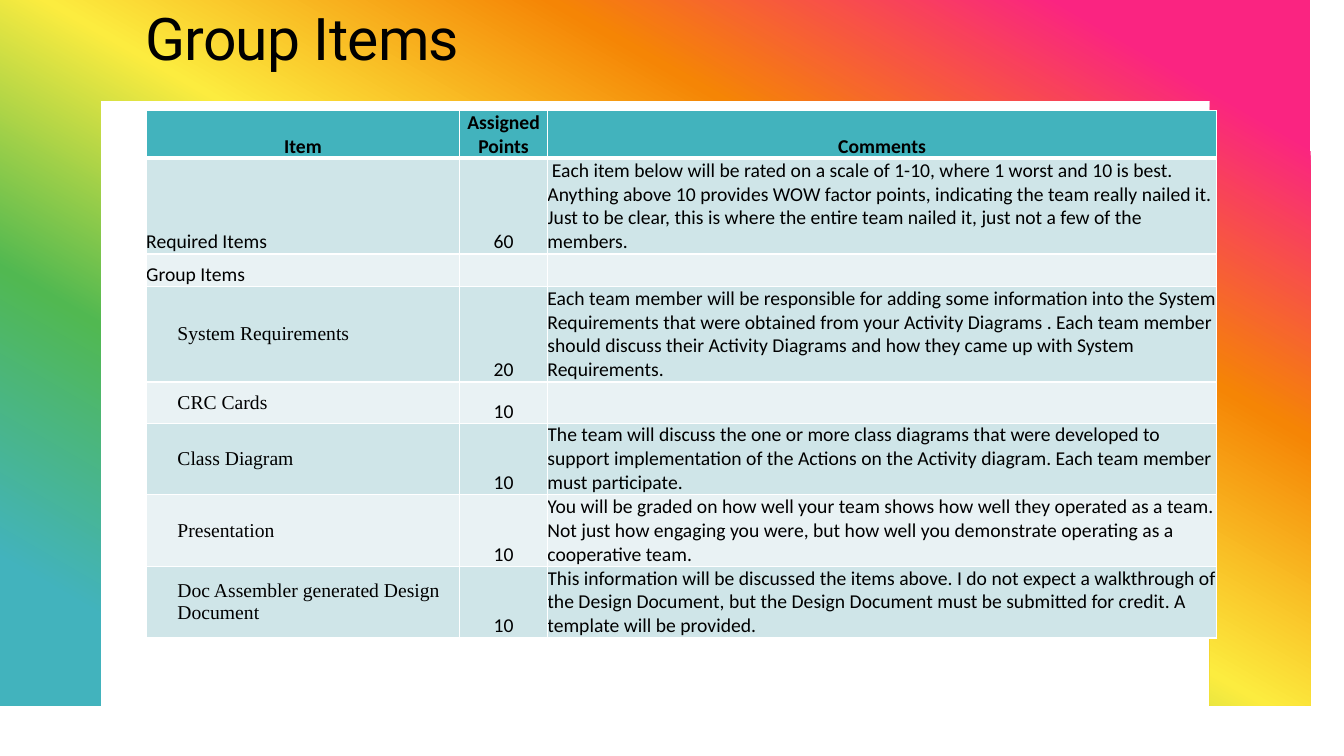
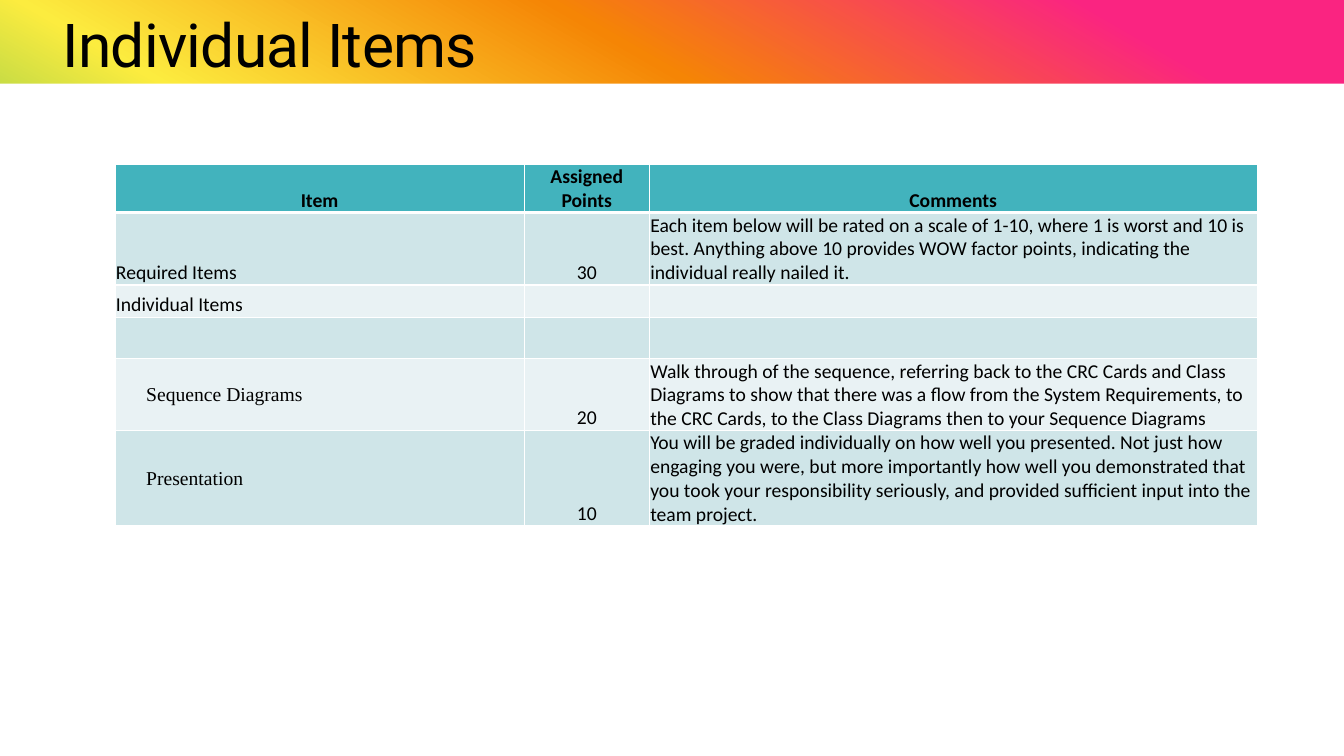
from lxml import etree
from pptx import Presentation
from pptx import util as u
from pptx.dml.color import RGBColor
from pptx.enum import shapes, text
from pptx.oxml import ns

W, H = 13.33, 7.5
BLACK, WHITE, TEAL = "000000", "FFFFFF", "42B3BD"
BANDS = ["E9F2F4", "CFE5E8"]
RAINBOW = [(10, "FA2481"), (30, "F58505"), (50, "FCEC3F"), (70, "51B851"), (90, TEAL)]
RAINBOW_ANGLE = 120
BAND_H, FRAME_SIDE, FRAME_BOTTOM = 0.84, 0.83, 6.68
FRAME = [(0, 0), (W, 0), (W, FRAME_BOTTOM), (W - FRAME_SIDE, FRAME_BOTTOM),
         (W - FRAME_SIDE, BAND_H), (FRAME_SIDE, BAND_H),
         (FRAME_SIDE, FRAME_BOTTOM), (0, FRAME_BOTTOM)]
INDENT = 0.31
SECTION_ROW = 2
HEADER = ("Item", "Assigned Points", "Comments")

GROUP = {
    "framed": True,
    "title": ("Group Items", (1.34, 0, 10, 0.81), 42, text.MSO_ANCHOR.MIDDLE),
    "at": (1.45, 1.1),
    "inset": 0,
    "cols": [3.11, 0.87, 6.64],
    "heights": [0.47, 0.95, 0.32, 0.95, 0.41, 0.71, 0.71, 0.71],
    "rows": [
        HEADER,
        ("Required Items", "60",
         " Each item below will be rated on a scale of 1-10, where 1 worst and 10 is best. "
         "Anything above 10 provides WOW factor points, indicating the team really nailed it. "
         "Just to be clear, this is where the entire team nailed it, just not a few of the members."),
        ("Group Items", "", ""),
        ("System Requirements", "20",
         "Each team member will be responsible for adding some information into the System "
         "Requirements that were obtained from your Activity Diagrams . Each team member should "
         "discuss their Activity Diagrams and how they came up with System Requirements."),
        ("CRC Cards", "10", ""),
        ("Class Diagram", "10",
         "The team will discuss the one or more class diagrams that were developed to support "
         "implementation of the Actions on the Activity diagram. Each team member must participate."),
        ("Presentation", "10",
         "You will be graded on how well your team shows how well they operated as a team. Not just "
         "how engaging you were, but how well you demonstrate operating as a cooperative team."),
        ("Doc Assembler generated Design Document", "10",
         "This information will be discussed the items above. I do not expect a walkthrough of the "
         "Design Document, but the Design Document must be submitted for credit. A template will be "
         "provided."),
    ],
}
INDIVIDUAL = {
    "framed": False,
    "title": ("Individual Items", (0.52, 0.24, 11.67, 0.62), 43.2, text.MSO_ANCHOR.BOTTOM),
    "at": (1.14, 1.63),
    "inset": 0.01,
    "cols": [4.06, 1.24, 6.03],
    "heights": [0.47, 0.72, 0.32, 0.41, 0.71, 0.95],
    "rows": [
        HEADER,
        ("Required Items", "30",
         "Each item below will be rated on a scale of 1-10, where 1 is worst and 10 is best. "
         "Anything above 10 provides WOW factor points, indicating the individual really nailed it."),
        ("Individual Items", "", ""),
        ("", "", ""),
        ("Sequence Diagrams", "20",
         "Walk through of the sequence, referring back to the CRC Cards and Class Diagrams to show "
         "that there was a flow from the System Requirements, to the CRC Cards, to the Class Diagrams "
         "then to your Sequence Diagrams"),
        ("Presentation", "10",
         "You will be graded individually on how well you presented. Not just how engaging you were, "
         "but more importantly how well you demonstrated that you took your responsibility seriously, "
         "and provided sufficient input into the team project."),
    ],
}


def rgb(value):
    return RGBColor.from_string(value)


def inches(values):
    return [u.Inches(v) for v in values]


def sub(parent, tag, **attrs):
    return etree.SubElement(parent, ns.qn(tag), {k: str(v) for k, v in attrs.items()})


def set_all(target, values):
    for name, value in values.items():
        setattr(target, name, value)


def paint(sp, color):
    sp.shadow.inherit = False
    sp.line.fill.background()
    sp.fill.solid()
    sp.fill.fore_color.rgb = rgb(color)


def paint_rainbow(sp):
    paint(sp, WHITE)
    sp.fill.gradient()
    grad = sp.fill._xPr.find(ns.qn("a:gradFill"))
    for child in list(grad):
        grad.remove(child)
    stops = sub(grad, "a:gsLst")
    for pos, color in RAINBOW:
        sub(sub(stops, "a:gs", pos=pos * 1000), "a:srgbClr", val=color)
    sub(grad, "a:lin", ang=RAINBOW_ANGLE * 60000, scaled=0)


def add_rect(s, *box):
    return s.shapes.add_shape(shapes.MSO_SHAPE.RECTANGLE, *inches(box))


def add_background(s, framed):
    if framed:
        outline = s.shapes.build_freeform(0, 0, scale=u.Inches(1))
        outline.add_line_segments(FRAME[1:], close=True)
        paint_rainbow(outline.convert_to_shape())
    else:
        paint_rainbow(add_rect(s, 0, 0, W, H))
        paint(add_rect(s, 0, BAND_H - 0.01, W, H - BAND_H + 0.01), WHITE)


def write(p, words, font, size, bold=False):
    r = p.add_run()
    r.text = words
    set_all(r.font, {"name": font, "size": u.Pt(size), "bold": bold})
    r.font.color.rgb = rgb(BLACK)
    return r


def add_title(s, words, box, size, anchor):
    tf = s.shapes.add_textbox(*inches(box)).text_frame
    set_all(tf, {"word_wrap": True, "vertical_anchor": anchor})
    p = tf.paragraphs[0]
    p.line_spacing = 0.95
    r = write(p, words, "Roboto", size)
    r.font._element.set("spc", "-50")


def add_borders(cell, bottom):
    tcPr = cell._tc.get_or_add_tcPr()
    for side, width in (("L", 1), ("R", 1), ("T", 1), ("B", bottom)):
        line = sub(tcPr, "a:ln" + side, w=u.Pt(width))
        sub(sub(line, "a:solidFill"), "a:srgbClr", val=WHITE)


def fill_cell(cell, words, row, col, inset):
    header = row == 0
    indented = row > SECTION_ROW and col == 0
    set_all(cell, {
        "margin_left": u.Inches(INDENT if indented else inset),
        "margin_right": u.Inches(inset),
        "margin_top": u.Inches(inset),
        "margin_bottom": 0,
        "vertical_anchor": text.MSO_ANCHOR.MIDDLE if indented else text.MSO_ANCHOR.BOTTOM,
    })
    add_borders(cell, 3 if header else 1)
    cell.fill.solid()
    cell.fill.fore_color.rgb = rgb(TEAL if header else BANDS[row % 2])
    p = cell.text_frame.paragraphs[0]
    p.alignment = text.PP_ALIGN.CENTER if header or col == 1 else text.PP_ALIGN.LEFT
    p.font.size = u.Pt(14)
    if words:
        write(p, words, "Times New Roman" if indented else "Calibri", 14, header)


def add_grading_table(s, at, cols, heights, rows, inset):
    box = inches([*at, sum(cols), sum(heights)])
    table = s.shapes.add_table(len(rows), len(cols), *box).table
    for column, width in zip(table.columns, cols):
        column.width = u.Inches(width)
    for line, height in zip(table.rows, heights):
        line.height = u.Inches(height)
    for row, values in enumerate(rows):
        for col, words in enumerate(values):
            fill_cell(table.cell(row, col), words, row, col, inset)


def main():
    prs = Presentation()
    prs.slide_width, prs.slide_height = inches([W, H])
    for page in (GROUP, INDIVIDUAL):
        s = prs.slides.add_slide(prs.slide_layouts[6])
        add_background(s, page["framed"])
        add_title(s, *page["title"])
        add_grading_table(s, page["at"], page["cols"], page["heights"], page["rows"], page["inset"])
    prs.save("out.pptx")


if __name__ == "__main__":
    main()
